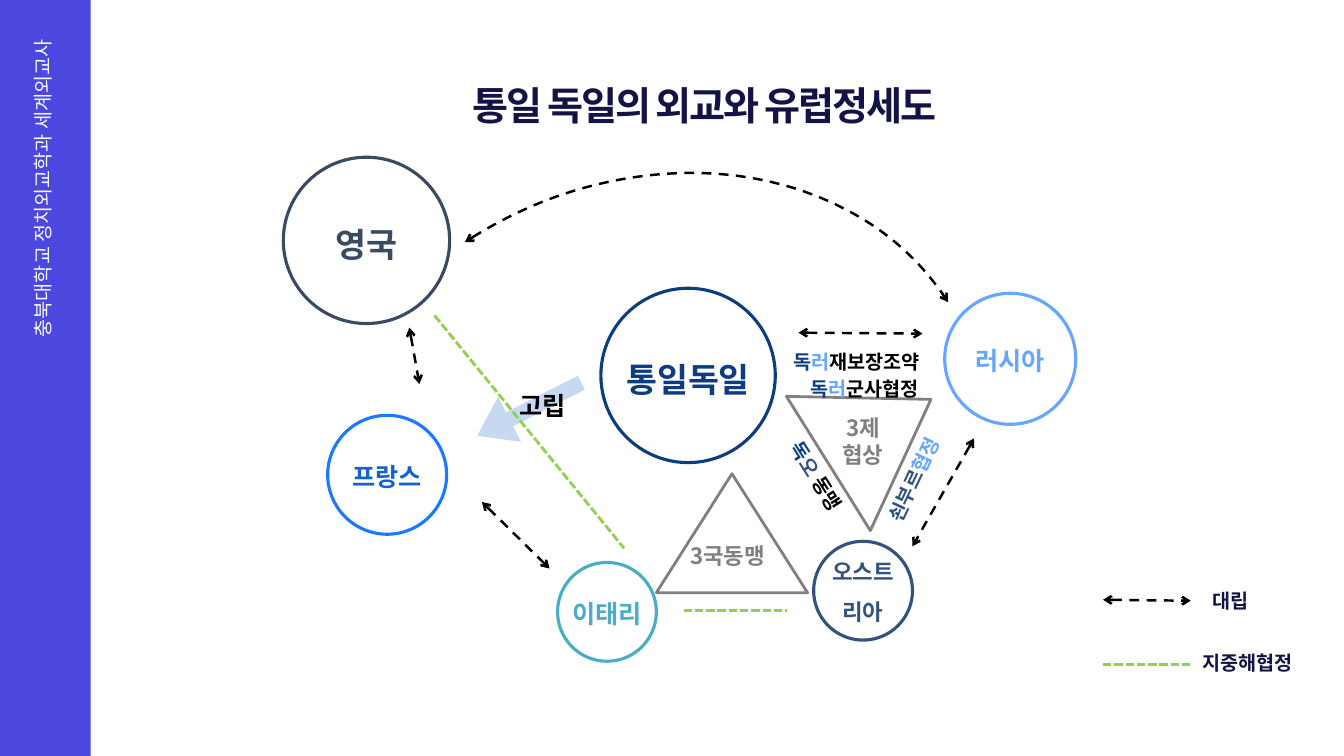
from lxml import etree
from pptx import Presentation
from pptx import util as u
from pptx.dml import color
from pptx.enum import dml, shapes, text
from pptx.oxml import ns

FACE = "Noto Sans CJK KR"
HUES = {
    "white": "FFFFFF", "black": "000000", "gray": "808080", "ink": "131345",
    "bar": "4B47DF", "pale": "F6F7FB", "arrow": "C6D9F1", "pact": "92D050",
    "german": "0D3D7F", "russian": "66A6FF", "austrian": "33537F",
    "french": "197AFF", "french_text": "1462CC", "british": "384B60",
    "italian": "4BACC6",
}
KINDS = shapes.MSO_SHAPE
DASHES = dml.MSO_LINE
MID, RIGHT = text.PP_ALIGN.CENTER, text.PP_ALIGN.RIGHT


def px(n):
    return u.Emu(n * 9144)


def hue(name):
    return color.RGBColor.from_string(HUES[name])


def add(node, tag, **attrs):
    return etree.SubElement(node, ns.qn(tag), **attrs)


class Board:
    def __init__(self, wide, high):
        self.deck = Presentation()
        self.deck.slide_width, self.deck.slide_height = px(wide), px(high)
        self.slide = self.deck.slides.add_slide(self.deck.slide_layouts[6])
        self.items = self.slide.shapes

    def stroke(self, line, tint, width, dash=None, heads=False):
        line.color.rgb = hue(tint)
        line.width = u.Pt(width)
        if dash:
            line.dash_style = dash
        if heads:
            node = line._get_or_add_ln()
            for tag in ("a:headEnd", "a:tailEnd"):
                add(node, tag, type="arrow")

    def shape(self, kind, box, fill=None, turn=0):
        item = self.items.add_shape(kind, *map(px, box))
        item.shadow.inherit = False
        item.rotation = turn
        if fill:
            item.fill.solid()
            item.fill.fore_color.rgb = hue(fill)
        else:
            item.fill.background()
        item.line.fill.background()
        return item

    def link(self, start, end):
        item = self.items.add_connector(
            shapes.MSO_CONNECTOR.STRAIGHT, *map(px, start + end))
        add(item._element.spPr, "a:effectLst")
        return item.line

    def clash(self, start, end):
        self.stroke(self.link(start, end), "black", 1.75, DASHES.DASH, True)

    def pact(self, start, end):
        self.stroke(self.link(start, end), "pact", 2, DASHES.SQUARE_DOT)

    def letter(self, frame, lines, size, align=None, bold=True, gap=None, track=None):
        for i, parts in enumerate(lines):
            para = frame.add_paragraph() if i else frame.paragraphs[0]
            para.alignment = align
            para.line_spacing = gap
            font = para.font
            font.name, font.size, font.bold = FACE, u.Pt(size), bold
            for words, tint in parts:
                run = para.add_run()
                run.text = words
                run.font.color.rgb = hue(tint)
            mark = para._p.pPr.find(ns.qn("a:defRPr"))
            mark.find(ns.qn("a:latin")).addnext(
                etree.Element(ns.qn("a:ea"), typeface=FACE))
            if track:
                mark.set("spc", str(track))

    def label(self, box, lines, size=14, turn=0, left=10, top=5, **style):
        item = self.items.add_textbox(*map(px, box))
        item.rotation = turn
        frame = item.text_frame
        frame.word_wrap = True
        frame.auto_size = text.MSO_AUTO_SIZE.SHAPE_TO_FIT_TEXT
        frame.margin_left, frame.margin_top = px(left), px(top)
        self.letter(frame, lines, size, **style)

    def nation(self, x, y, side, names, size, tint, ink=None):
        item = self.shape(KINDS.OVAL, (x, y, side, side), "white")
        fill = item._element.spPr.find(ns.qn("a:solidFill"))
        add(fill[0], "a:alpha", val="65000")
        self.stroke(item.line, tint, 2.25)
        frame = item.text_frame
        frame.word_wrap = False
        frame.vertical_anchor = text.MSO_ANCHOR.MIDDLE
        frame.margin_left = frame.margin_right = px(10)
        frame.margin_top, frame.margin_bottom = 0, px(12)
        lines = [[(name, ink or tint)] for name in names]
        self.letter(frame, lines, size, MID, gap=1.5)

    def league(self, box, turn=0):
        item = self.shape(KINDS.ISOSCELES_TRIANGLE, box, turn=turn)
        self.stroke(item.line, "gray", 2)


def main():
    board = Board(1333, 750)

    push = board.shape(KINDS.LEFT_ARROW, (467, 381, 116, 50), "arrow", 333)
    push.adjustments[0], push.adjustments[1] = 0.31, 0.72
    board.label((505, 382, 114, 40), [[("고립", "black")]], 18)

    arc = board.shape(KINDS.ARC, (261, 190, 739, 622), turn=327)
    board.stroke(arc.line, "black", 1.75, DASHES.DASH, True)
    for ends in (
        ((966, 435), (905, 542)),
        ((406, 325), (416, 381)),
        ((478, 498), (545, 564)),
        ((792, 330), (915, 331)),
        ((1094, 595), (1181, 596)),
    ):
        board.clash(*ends)
    for ends in (
        ((431, 313), (619, 544)),
        ((678, 606), (781, 606)),
        ((1094, 659), (1181, 659)),
    ):
        board.pact(*ends)

    board.league((794, 368, 157, 120), 58)
    board.league((651, 470, 150, 118))
    board.label((801, 406, 110, 64), [[("3제", "gray")], [("협상", "gray")]],
                16, align=MID)
    board.label((667, 533, 109, 37), [[("3국동맹", "gray")]], 16, align=MID)

    for x, y, treaty in ((777, 342, "재보장조약"), (794, 369, "군사협정")):
        board.label((x, y, 216, 34), [
            [("독", "german"), ("러", "russian"), (treaty, "black")]])
    board.label((848, 453, 122, 34),
                [[("쇤부르", "austrian"), ("협정", "russian")]], turn=295.4)
    board.label((752, 473, 137, 34), [
        [("독", "german"), ("오", "austrian"), (" 동맹", "black")]], turn=57.6)

    board.nation(596, 286, 173, ["통일독일"], 24, "german")
    board.nation(937, 291, 130, ["러시아"], 18, "russian")
    board.nation(325, 412, 118, ["프랑스"], 18, "french", "french_text")
    board.nation(807, 537, 98, ["오스트", "리아"], 16, "austrian")
    board.nation(281, 156, 165, ["영국"], 24, "british")
    board.nation(553, 558, 98, ["이태리"], 18, "italian")

    board.label((1193, 579, 140, 34), [[("대립", "ink")]])
    board.label((1183, 641, 140, 34), [[("지중해협정", "ink")]])

    board.shape(KINDS.RECTANGLE, (0, 0, 90, 750), "bar")
    board.label((-138, 198, 367, 29),
                [[("충북대학교 정치외교학과 세계외교사", "pale")]],
                turn=270, top=0, align=RIGHT, bold=False)
    board.label((437, 76, 533, 57), [[("통일 독일의 외교와 유럽정세도", "ink")]],
                28, left=0, align=MID, track=-150)

    board.deck.save("out.pptx")


if __name__ == "__main__":
    main()
